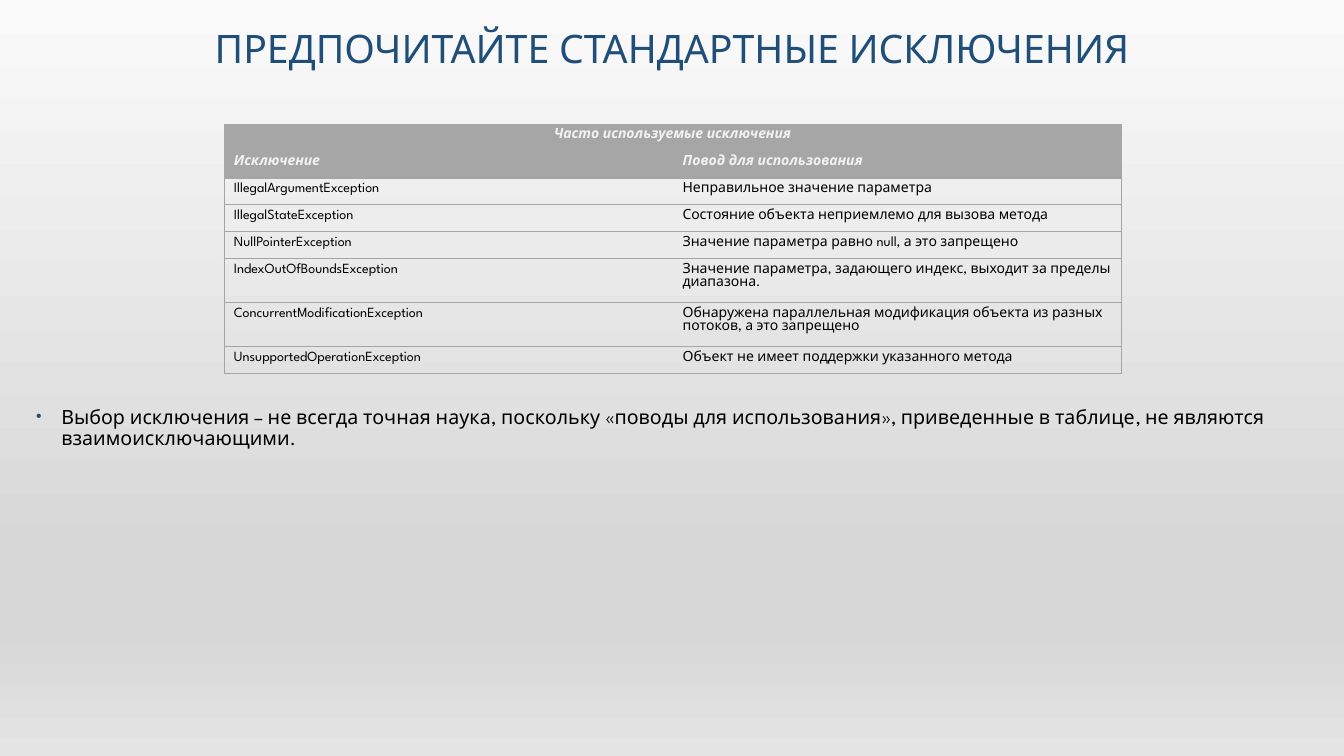
from lxml import etree
from pptx import Presentation
from pptx.dml.color import RGBColor
from pptx.enum.shapes import MSO_SHAPE as Shape
from pptx.enum.text import MSO_ANCHOR as Anchor, PP_ALIGN as Align
from pptx.oxml.ns import qn
from pptx.util import Inches, Pt

BACKDROP = [(0, "FAFAFA"), (74, "D7D7D7"), (83, "D7D7D7"), (100, "E4E4E4")]
HEADINGS = [
    ("Часто используемые исключения", ""),
    ("Исключение", "Повод для использования"),
]
EXCEPTIONS = [
    ("IllegalArgumentException", "Неправильное значение параметра"),
    ("IllegalStateException", "Состояние объекта неприемлемо для вызова метода"),
    ("NullPointerException", "Значение параметра равно null, а это запрещено"),
    ("IndexOutOfBoundsException",
     "Значение параметра, задающего индекс, выходит за пределы диапазона."),
    ("ConcurrentModificationException",
     "Обнаружена параллельная модификация объекта из разных потоков, а это запрещено"),
    ("UnsupportedOperationException", "Объект не имеет поддержки указанного метода"),
]


def color(value):
    return RGBColor.from_string(value)


def add_node(parent, tag, **attributes):
    return etree.SubElement(parent, qn(tag), {k: str(v) for k, v in attributes.items()})


class SlideBuilder:
    font = "League Spartan"
    accent = "1F4E79"
    ink = "000000"
    header_ink = "F2F2F2"
    header_fill = "A6A6A6"
    rule = "A5A5A5"

    def __init__(self, deck):
        self.page = deck.slides.add_slide(deck.slide_layouts[6])

    def add_span(self, para, text, size, ink, emphasis=False):
        span = para.add_run()
        span.text = text
        span.font.name = self.font
        span.font.size = Pt(size)
        span.font.color.rgb = color(ink)
        span.font.bold = span.font.italic = emphasis

    def backdrop(self, width, height, stops):
        panel = self.page.shapes.add_shape(Shape.RECTANGLE, 0, 0, width, height)
        panel.shadow.inherit = False
        panel.line.fill.background()
        panel.fill.gradient()
        panel.fill.gradient_angle = 270
        stop_list = panel.element.spPr.find(qn("a:gradFill")).find(qn("a:gsLst"))
        for stop in list(stop_list):
            stop_list.remove(stop)
        for position, value in stops:
            stop = add_node(stop_list, "a:gs", pos=position * 1000)
            add_node(stop, "a:srgbClr", val=value)

    def text(self, left, top, width, height, text, size, ink, anchor=Anchor.TOP):
        box = self.page.shapes.add_textbox(
            Inches(left), Inches(top), Inches(width), Inches(height))
        box.text_frame.word_wrap = True
        box.text_frame.vertical_anchor = anchor
        para = box.text_frame.paragraphs[0]
        para.line_spacing = 0.9
        self.add_span(para, text, size, ink)
        return para

    def title(self, text):
        para = self.text(0.21, 0.21, 12.91, 0.55, text, 28, self.accent, Anchor.BOTTOM)
        para.alignment = Align.CENTER

    def bullet(self, text):
        para = self.text(0.21, 3.99, 12.91, 1.02, text, 14, self.ink)
        para.space_before = Pt(18)
        properties = para._p.get_or_add_pPr()
        properties.set("marL", str(Inches(0.3)))
        properties.set("indent", str(Inches(-0.25)))
        bullet_color = add_node(properties, "a:buClr")
        add_node(bullet_color, "a:srgbClr", val=self.accent)
        add_node(properties, "a:buSzPct", val=80000)
        add_node(properties, "a:buFont", typeface="Arial")
        add_node(properties, "a:buChar", char="•")

    def borders(self, cell, sides):
        properties = cell._tc.get_or_add_tcPr()
        for side in "LRTB":
            line = add_node(properties, f"a:ln{side}", w=Pt(0.5))
            if side in sides:
                fill = add_node(line, "a:solidFill")
                add_node(fill, "a:srgbClr", val=self.rule)
            else:
                add_node(line, "a:noFill")

    def table(self, headings, body):
        rows = headings + body
        frame = self.page.shapes.add_table(
            len(rows), 2, Inches(2.22), Inches(1.23), Inches(8.9), Inches(0.22 * len(rows)))
        table = frame.table
        table.first_row = table.horz_banding = False
        banner = table.cell(0, 0)
        banner.merge(table.cell(0, 1))
        for row, texts in enumerate(rows):
            is_heading = row < len(headings)
            for column, text in enumerate(texts):
                cell = table.cell(row, column)
                self.borders(cell, "LRTB" if cell.is_merge_origin else "LR"[column] + "TB")
                if is_heading:
                    cell.fill.solid()
                    cell.fill.fore_color.rgb = color(self.header_fill)
                else:
                    cell.fill.background()
                if text:
                    ink = self.header_ink if is_heading else self.ink
                    self.add_span(cell.text_frame.paragraphs[0], text, 10, ink, is_heading)
        banner.text_frame.paragraphs[0].alignment = Align.CENTER


def main():
    deck = Presentation()
    deck.slide_width = Inches(13.33)
    deck.slide_height = Inches(7.5)
    slide = SlideBuilder(deck)
    slide.backdrop(deck.slide_width, deck.slide_height, BACKDROP)
    slide.title("ПРЕДПОЧИТАЙТЕ СТАНДАРТНЫЕ ИСКЛЮЧЕНИЯ")
    slide.table(HEADINGS, EXCEPTIONS)
    slide.bullet(
        "Выбор исключения – не всегда точная наука, поскольку «поводы для использования», "
        "приведенные в таблице, не являются взаимоисключающими.")
    deck.save("out.pptx")


if __name__ == "__main__":
    main()
